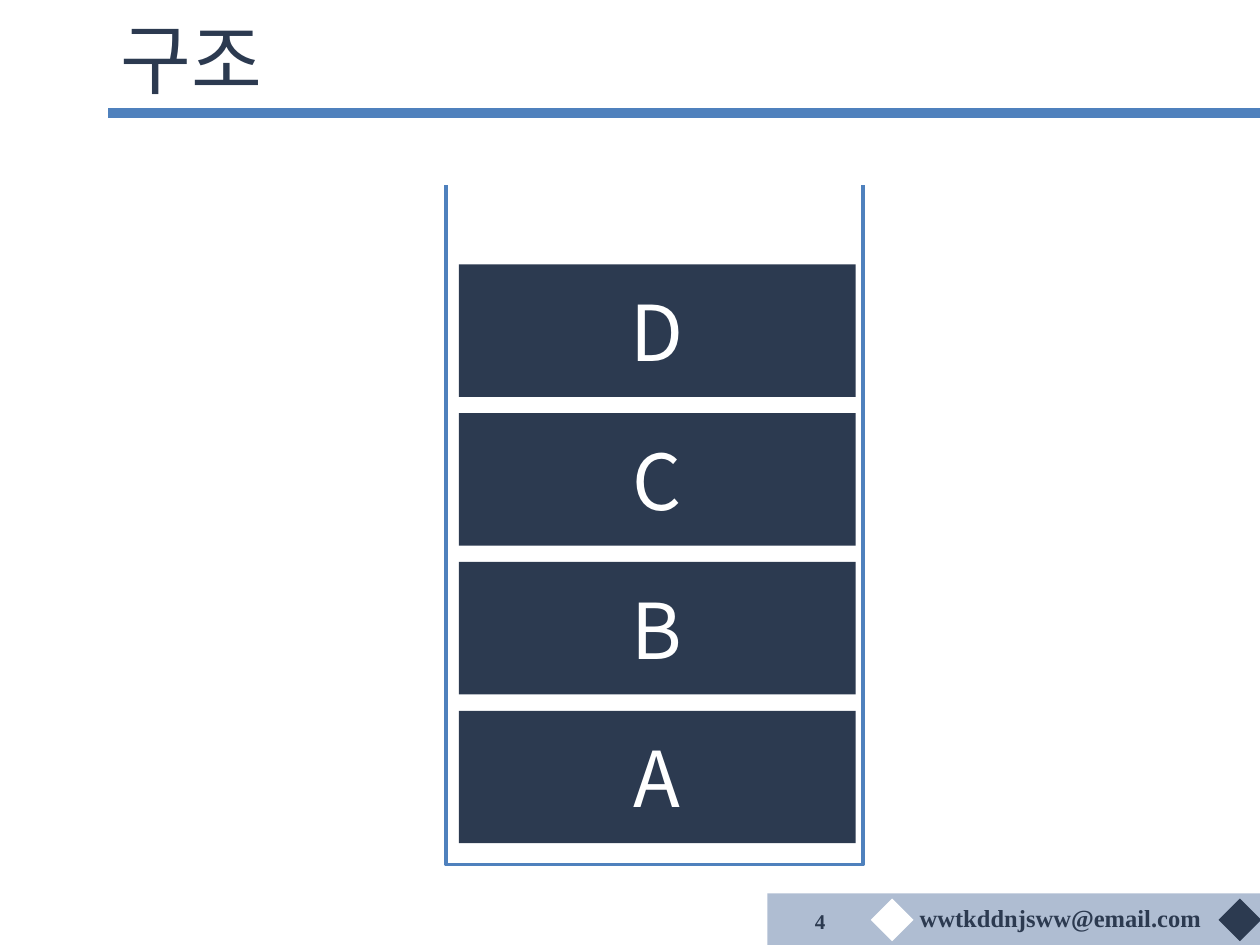
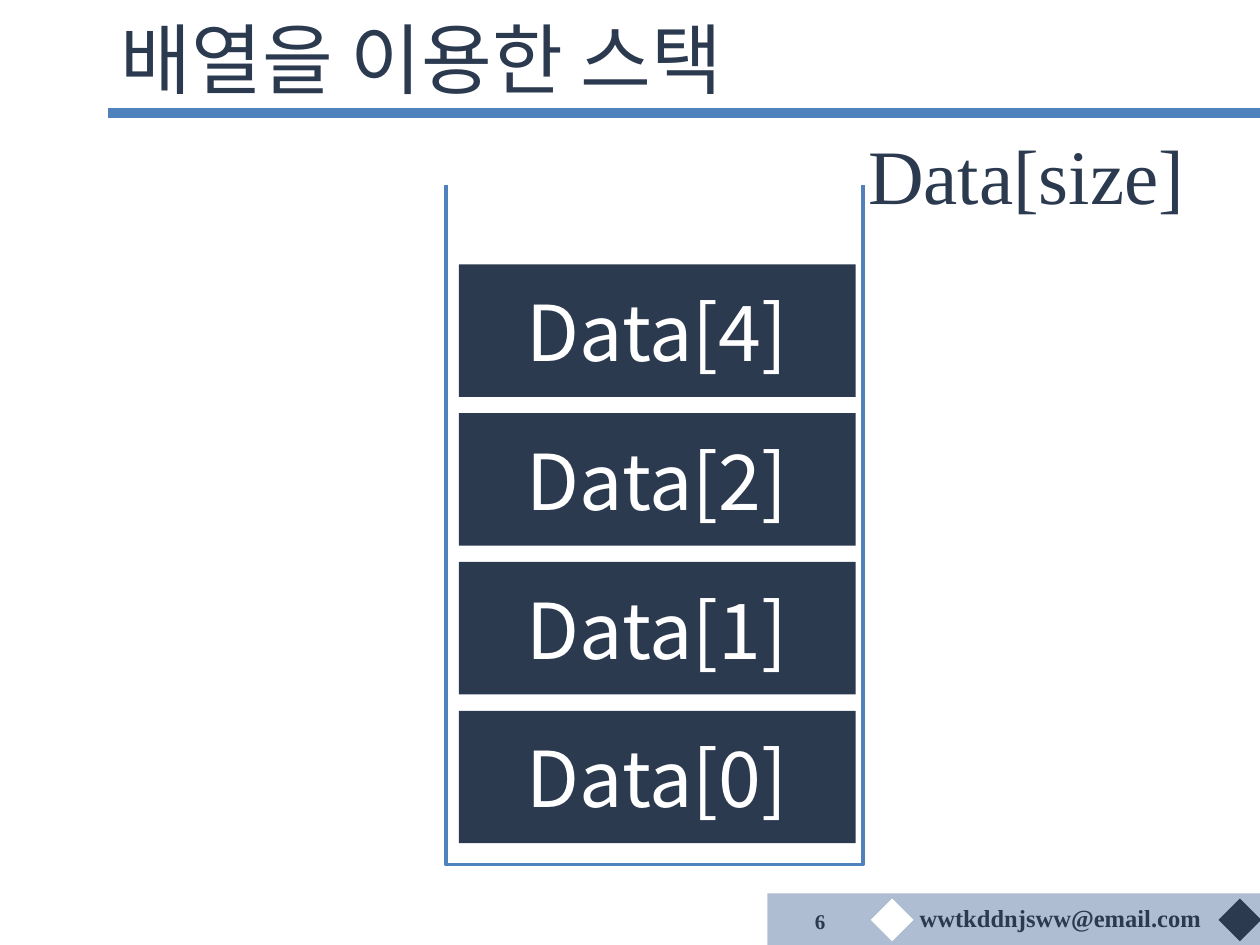
from lxml import etree
from pptx import Presentation
from pptx.dml.color import RGBColor
from pptx.enum import shapes, text
from pptx.oxml import ns
from pptx.util import Cm, Pt

NAVY, BLUE, SLATE, WHITE = "2C3A50", "4F81BD", "788FB4", "FFFFFF"
SERIF, SANS = "Times New Roman", "Noto Sans CJK KR"
LEFT, CENTER, RIGHT = text.PP_ALIGN.LEFT, text.PP_ALIGN.CENTER, text.PP_ALIGN.RIGHT
TOP, MIDDLE = text.MSO_ANCHOR.TOP, text.MSO_ANCHOR.MIDDLE

EMAIL = "wwtkddnjsww@email.com"
BLOCK_PITCH = 3
DIAMOND_SIDE = 0.61


def color(hex_value):
    return RGBColor.from_string(hex_value)


def add_rect(page, left, top, width, height, fill, line=None):
    rect = page.shapes.add_shape(shapes.MSO_SHAPE.RECTANGLE, Cm(left), Cm(top), Cm(width), Cm(height))
    rect.shadow.inherit = False
    rect.fill.solid()
    rect.fill.fore_color.rgb = color(fill)
    if line:
        rect.line.color.rgb = color(line)
        rect.line.width = Pt(2)
    else:
        rect.line.fill.background()
    return rect


def write(box, words, size, font=SERIF, fill=NAVY, bold=False, align=LEFT, anchor=TOP, wrap=True):
    frame = box.text_frame
    frame.text = words
    frame.word_wrap = wrap
    frame.auto_size = text.MSO_AUTO_SIZE.NONE if wrap else text.MSO_AUTO_SIZE.SHAPE_TO_FIT_TEXT
    frame.vertical_anchor = anchor
    para = frame.paragraphs[0]
    para.alignment = align
    span = para.runs[0]
    span.font.size = Pt(size)
    span.font.name = font
    span.font.bold = bold
    span.font.color.rgb = color(fill)
    return span


def add_label(page, left, top, width, height, words, size, **style):
    box = page.shapes.add_textbox(Cm(left), Cm(top), Cm(width), Cm(height))
    write(box, words, size, **style)


def add_title(page, words, left=2.18, top=0.18):
    title = page.shapes.title
    title.left, title.top, title.width, title.height = Cm(left), Cm(top), Cm(22.76), Cm(1.96)
    span = write(title, words, 44, anchor=MIDDLE)
    # Hangul needs its own East Asian typeface beside the Latin one
    properties = span.font.fill._xPr
    etree.SubElement(properties, ns.qn("a:ea"), typeface=SANS)
    add_rect(page, left, top + 2, 23.22, 0.2, BLUE)


def add_footer(page, number, left=15.47, top=18.01):
    band = add_rect(page, left, top, 9.93, 1.04, SLATE)
    tint = band.fill._xPr.find(".//" + ns.qn("a:srgbClr"))
    etree.SubElement(tint, ns.qn("a:alpha"), val="59000")
    for offset, fill in ((9.22, NAVY), (2.21, WHITE)):
        diamond = add_rect(page, left + offset, top + 0.23, DIAMOND_SIDE, DIAMOND_SIDE, fill)
        diamond.rotation = 45
    add_label(page, left + 2.82, top + 0.07, 6.25, 0.86, EMAIL, 14, bold=True, wrap=False)
    add_label(page, left + 0.23, top + 0.13, 1.19, 0.86, str(number), 12,
              bold=True, align=RIGHT, anchor=MIDDLE)


def add_stack(page, items, left=8.99, top=3.43):
    """Draw an open-topped container with the items listed from top to bottom."""
    add_rect(page, left, top, 8.41, 14, WHITE, line=BLUE)
    add_rect(page, left - 0.2, top - 0.41, 8.89, 0.71, WHITE)
    for index, item in enumerate(items):
        block = add_rect(page, left + 0.26, top + 1.9 + index * BLOCK_PITCH, 8, 2.67, NAVY)
        write(block, item, 44, font=SANS, fill=WHITE, align=CENTER, anchor=MIDDLE)


def add_stack_page(deck, title, number, items):
    page = deck.slides.add_slide(deck.slide_layouts[5])
    add_title(page, title)
    add_footer(page, number)
    add_stack(page, items)
    return page


def main():
    deck = Presentation()
    deck.slide_width, deck.slide_height = Cm(25.4), Cm(19.05)
    add_stack_page(deck, "구조", 4, "DCBA")
    array_page = add_stack_page(deck, "배열을 이용한 스택", 6,
                                [f"Data[{index}]" for index in (4, 2, 1, 0)])
    add_label(array_page, 17.25, 2.44, 6.96, 2.13, "Data[size]", 44, wrap=False)
    deck.save("out.pptx")


if __name__ == "__main__":
    main()
